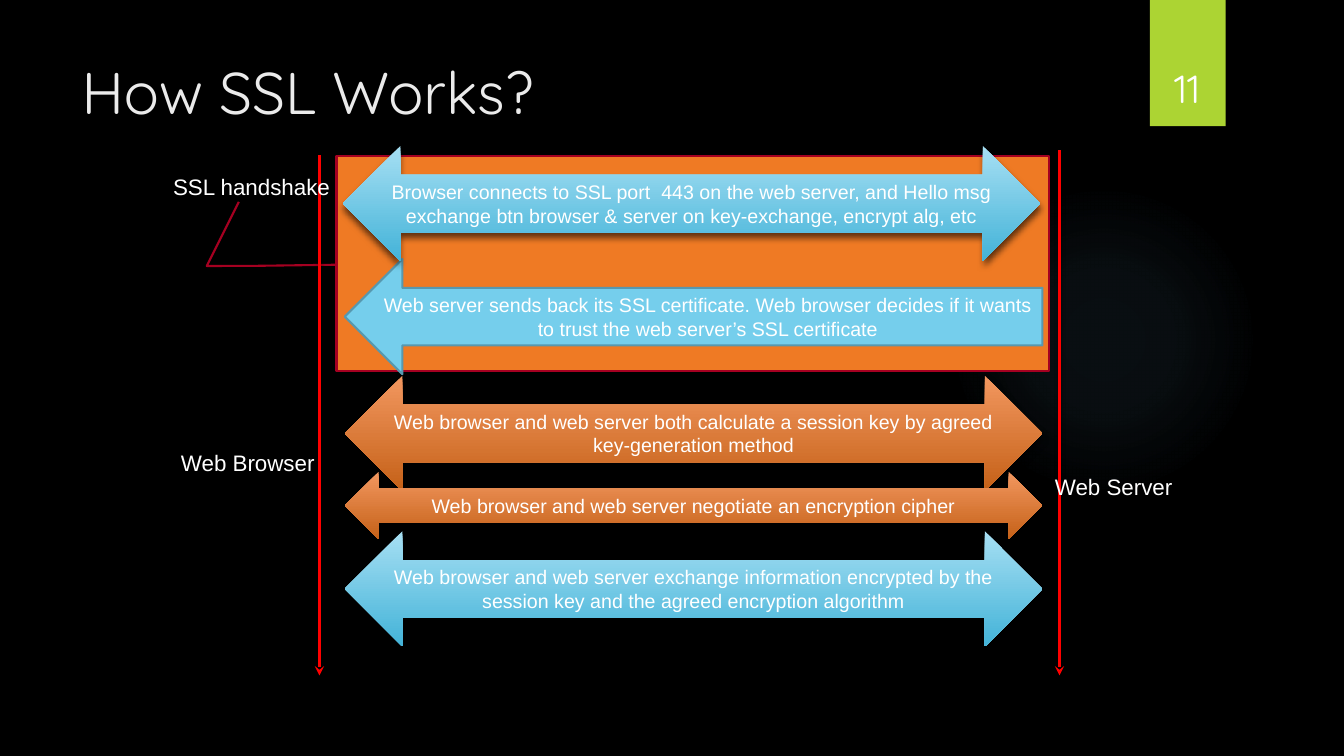
from dataclasses import dataclass
from typing import NamedTuple, Optional

from pptx import Presentation
from pptx.dml.color import RGBColor
from pptx.enum.shapes import MSO_CONNECTOR, MSO_SHAPE
from pptx.enum.text import MSO_ANCHOR, MSO_AUTO_SIZE, PP_ALIGN
from pptx.oxml import parse_xml
from pptx.oxml.ns import nsdecls
from pptx.util import Cm, Pt


class Shadow(NamedTuple):
    opacity: int
    blur: int
    distance: int


@dataclass(frozen=True)
class Theme:
    background: str = "000000"
    text: str = "FFFFFF"
    title: str = "EBEBEB"
    tab: str = "ACD433"
    glow: str = "7AC4F0"
    lifeline: str = "FF0000"
    handshake: str = "EF7A24"
    handshake_edge: str = "A50021"
    reply: str = "75CEEC"
    reply_edge: str = "5798AF"
    blue: tuple[str, str] = ("A6DFF3", "43B3D8")
    orange: tuple[str, str] = ("F2975F", "C56118")
    display_font: str = "Quicksand"
    body_font: str = "Arial"
    title_size: int = 42
    number_size: int = 28
    label_size: int = 16
    message_size: int = 14
    soft_shadow: Shadow = Shadow(45, 3, 2)
    deep_shadow: Shadow = Shadow(60, 5, 3)


THEME = Theme()


class Box(NamedTuple):
    left: float
    top: float
    width: float
    height: float

    def lengths(self) -> list:
        return [Cm(value) for value in self]


class Label(NamedTuple):
    text: str
    box: Box


class Lifeline(NamedTuple):
    x: float
    top: float


class Message(NamedTuple):
    text: str
    top: float
    colors: Optional[tuple[str, str]]
    height: float = 2.9
    left: float = 8.69


LIFELINE_END = 17.02
MESSAGE_WIDTH = 17.58
CALLOUT_POINTS = (0.505, -0.001, 0.51, -0.111, 0.511, -0.182, 0.212, -0.137)
GLOW_STOPS = ((0, 7), (36, 6), (69, 0))

LIFELINES = (Lifeline(8.05, 3.91), Lifeline(26.7, 3.78))
LABELS = (
    Label("Web Browser", Box(4.29, 11.2, 3.91, 0.94)),
    Label("Web Server", Box(26.31, 11.79, 3.51, 0.94)),
    Label("SSL handshake", Box(4.09, 4.24, 4.5, 0.94)),
)
MESSAGES = (
    Message("Web server sends back its SSL certificate. Web browser decides if it wants "
            "to trust the web server’s SSL certificate", 6.53, None),
    Message("Web browser and web server both calculate a session key by agreed "
            "key-generation method", 9.47, THEME.orange),
    Message("Web browser and web server negotiate an encryption cipher",
            11.89, THEME.orange, height=1.7),
    Message("Web browser and web server exchange information encrypted by the "
            "session key and the agreed encryption algorithm", 13.39, THEME.blue),
    Message("Browser connects to SSL port  443 on the web server, and Hello msg "
            "exchange btn browser & server on key-exchange, encrypt alg, etc",
            3.68, THEME.blue, left=8.64),
)


def rgb(color: str) -> RGBColor:
    return RGBColor.from_string(color)


def write(frame, text: str, size: int, font_name: str = THEME.body_font,
          color: str = THEME.text, align=PP_ALIGN.CENTER, **frame_format) -> None:
    for name, value in {"word_wrap": True, **frame_format}.items():
        setattr(frame, name, value)
    paragraph = frame.paragraphs[0]
    paragraph.alignment = align
    run = paragraph.add_run()
    run.text = text
    for name, value in {"name": font_name, "size": Pt(size), "bold": False}.items():
        setattr(run.font, name, value)
    run.font.color.rgb = rgb(color)


def set_shadow(properties, shadow: Optional[Shadow] = None) -> None:
    """Replace the inherited effects by a downward shadow, or by none."""
    effects = parse_xml(f'<a:effectLst {nsdecls("a")}/>')
    if shadow:
        effects.append(parse_xml(
            f'<a:outerShdw {nsdecls("a")} blurRad="{Pt(shadow.blur)}" '
            f'dist="{Pt(shadow.distance)}" dir="5400000" algn="ctr" rotWithShape="0">'
            f'<a:srgbClr val="000000"><a:alpha val="{shadow.opacity * 1000}"/></a:srgbClr>'
            '</a:outerShdw>'))
    properties.append(effects)


def add_filled(slide, preset, box: Box, fill: Optional[str] = None,
               edge: Optional[str] = None, shadow: Optional[Shadow] = None):
    shape = slide.shapes.add_shape(preset, *box.lengths())
    if fill:
        shape.fill.solid()
        shape.fill.fore_color.rgb = rgb(fill)
    if edge:
        shape.line.color.rgb = rgb(edge)
        shape.line.width = Pt(1.5)
    else:
        shape.line.fill.background()
    set_shadow(shape._element.spPr, shadow)
    return shape


def add_glow(slide) -> None:
    glow = add_filled(slide, MSO_SHAPE.OVAL, Box(23.9, 4.65, 7.82, 7.82))
    stops = "".join(
        f'<a:gs pos="{position * 1000}"><a:srgbClr val="{THEME.glow}">'
        f'<a:alpha val="{opacity * 1000}"/></a:srgbClr></a:gs>'
        for position, opacity in GLOW_STOPS)
    glow._element.spPr.prstGeom.addnext(parse_xml(
        f'<a:gradFill {nsdecls("a")}><a:gsLst>{stops}</a:gsLst><a:path path="circle">'
        '<a:fillToRect l="50000" t="50000" r="50000" b="50000"/></a:path></a:gradFill>'))


def add_lifeline(slide, lifeline: Lifeline) -> None:
    x = Cm(lifeline.x)
    connector = slide.shapes.add_connector(
        MSO_CONNECTOR.STRAIGHT, x, Cm(lifeline.top), x, Cm(LIFELINE_END))
    connector.line.color.rgb = rgb(THEME.lifeline)
    connector.line.width = Pt(2.25)
    connector.line._get_or_add_ln().append(
        parse_xml(f'<a:tailEnd {nsdecls("a")} type="stealth"/>'))
    set_shadow(connector._element.spPr, THEME.soft_shadow)


def add_handshake(slide) -> None:
    handshake = add_filled(slide, MSO_SHAPE.LINE_CALLOUT_3, Box(8.48, 3.94, 17.96, 5.41),
                           THEME.handshake, THEME.handshake_edge)
    for index, value in enumerate(CALLOUT_POINTS):
        handshake.adjustments[index] = value


def add_label(slide, label: Label) -> None:
    write(slide.shapes.add_textbox(*label.box.lengths()).text_frame, label.text,
          THEME.label_size, word_wrap=False, auto_size=MSO_AUTO_SIZE.SHAPE_TO_FIT_TEXT)


def add_message(slide, message: Message) -> None:
    """Draw a two-way gradient arrow, or the plain reply arrow if it has no colours."""
    box = Box(message.left, message.top, MESSAGE_WIDTH, message.height)
    if message.colors:
        arrow = add_filled(slide, MSO_SHAPE.LEFT_RIGHT_ARROW, box, shadow=THEME.deep_shadow)
        arrow.fill.gradient()
        arrow.fill.gradient_angle = 270
        for stop, color, position in zip(arrow.fill.gradient_stops, message.colors, (0, 1)):
            stop.color.rgb = rgb(color)
            stop.position = position
    else:
        arrow = add_filled(slide, MSO_SHAPE.LEFT_ARROW, box, THEME.reply, THEME.reply_edge)
    write(arrow.text_frame, message.text, THEME.message_size,
          vertical_anchor=MSO_ANCHOR.MIDDLE)


def add_heading(slide) -> None:
    title = slide.shapes.title
    title.left, title.top, title.width, title.height = Box(1.8, 1.27, 26.14, 3.89).lengths()
    write(title.text_frame, "How SSL Works?", THEME.title_size, THEME.display_font,
          THEME.title, PP_ALIGN.LEFT, vertical_anchor=MSO_ANCHOR.TOP)
    add_filled(slide, MSO_SHAPE.RECTANGLE, Box(28.98, 0, 1.91, 3.18), THEME.tab,
               shadow=THEME.soft_shadow)
    number = slide.shapes.add_textbox(*Box(28.75, 0.81, 2.34, 2.13).lengths())
    write(number.text_frame, "11", THEME.number_size, THEME.display_font,
          vertical_anchor=MSO_ANCHOR.BOTTOM)


def main() -> None:
    deck = Presentation()
    deck.slide_width, deck.slide_height = Cm(33.87), Cm(19.05)
    slide = deck.slides.add_slide(deck.slide_layouts[5])
    slide.background.fill.solid()
    slide.background.fill.fore_color.rgb = rgb(THEME.background)
    add_glow(slide)
    add_heading(slide)
    add_handshake(slide)
    for draw, parts in ((add_lifeline, LIFELINES), (add_label, LABELS), (add_message, MESSAGES)):
        for part in parts:
            draw(slide, part)
    deck.save("out.pptx")


if __name__ == "__main__":
    main()
